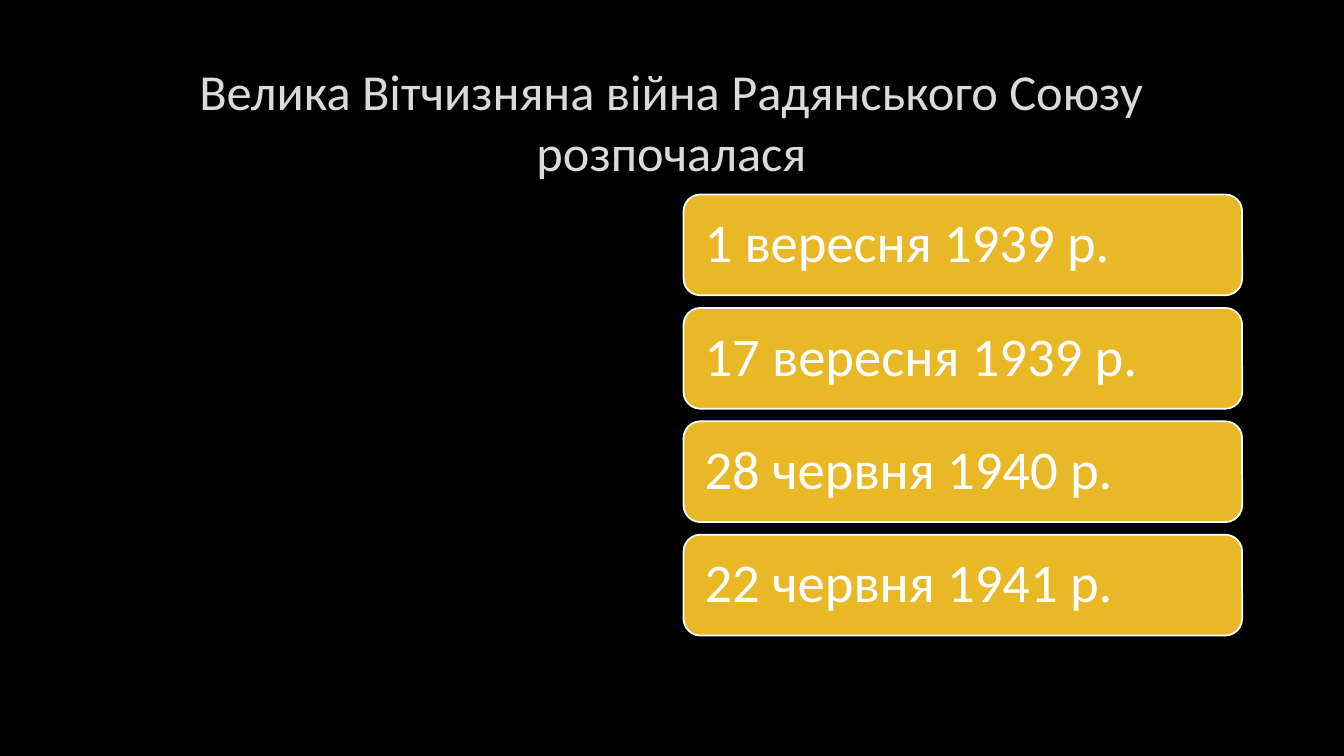
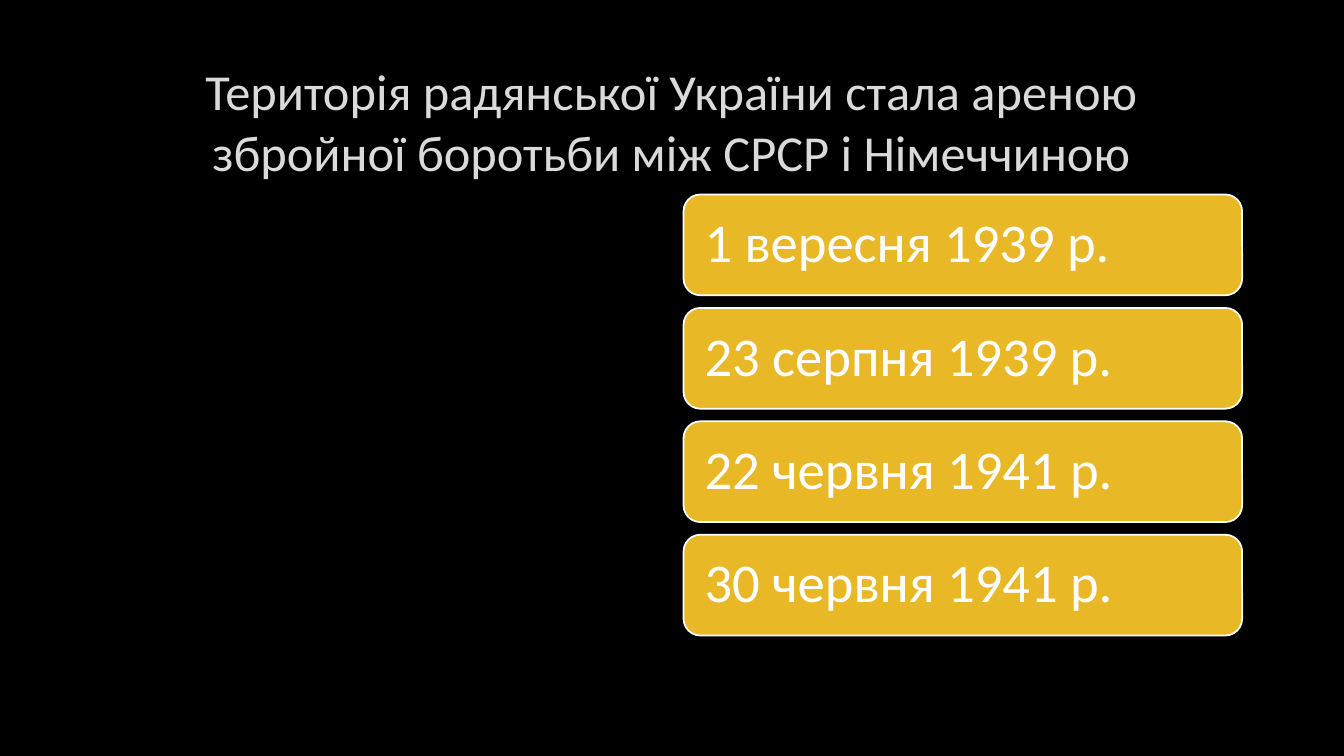
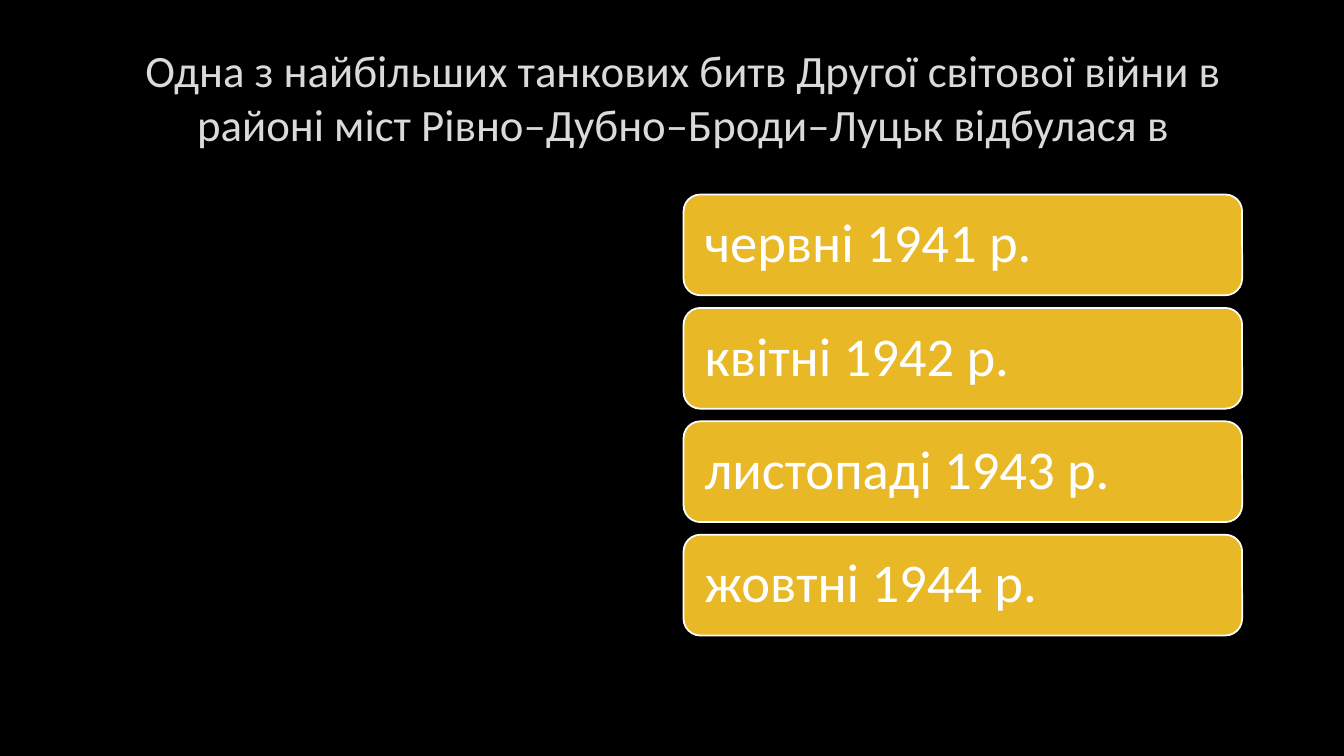
from lxml import etree
from pptx import Presentation
from pptx.dml.color import RGBColor
from pptx.enum.shapes import MSO_SHAPE
from pptx.enum.text import MSO_ANCHOR, PP_ALIGN
from pptx.oxml import parse_xml
from pptx.util import Inches, Pt

QUESTIONS = [
    {
        "title": "Велика Вітчизняна війна Радянського Союзу розпочалася",
        "place": (1, 0.67),
        "size": 36,
        "answers": ["1 вересня 1939 р.", "17 вересня 1939 р.",
                    "28 червня 1940 р.", "22 червня 1941 р."],
    },
    {
        "title": "Територія радянської України стала ареною збройної "
                 "боротьби між СРСР і Німеччиною",
        "place": (1, 0.67),
        "size": 36,
        "answers": ["1 вересня 1939 р.", "23 серпня 1939 р.",
                    "22 червня 1941 р.", "30 червня 1941 р."],
    },
    {
        "title": "Одна з найбільших танкових битв Другої світової війни "
                 "в районі міст Рівно–Дубно–Броди–Луцьк відбулася в",
        "place": (1.12, 0.43),
        "size": 32,
        "answers": ["червні 1941 р.", "квітні 1942 р.",
                    "листопаді 1943 р.", "жовтні 1944 р."],
    },
]

BLACK = RGBColor(0x00, 0x00, 0x00)
WHITE = RGBColor(0xFF, 0xFF, 0xFF)
GOLD = RGBColor(0xE8, 0xB8, 0x26)
SILVER = RGBColor(0xDA, 0xDA, 0xDA)
FONT = "Calibri"

ROUNDED = MSO_SHAPE.ROUNDED_RECTANGLE
MIDDLE = MSO_ANCHOR.MIDDLE
CENTER, LEFT = PP_ALIGN.CENTER, PP_ALIGN.LEFT

SLIDE_WIDTH, SLIDE_HEIGHT = 13.33, 7.5
BLANK_LAYOUT = 6
TITLE_WIDTH, TITLE_HEIGHT = 11.32, 1.06
ANSWER_LEFT, ANSWER_TOP = 6.78, 1.93
ANSWER_WIDTH, ANSWER_HEIGHT = 5.54, 1
ANSWER_PITCH = ANSWER_HEIGHT * 9 / 8
ANSWER_INSET = 0.16
ANSWER_SIZE = 39

TEXT_OUTLINE = (
    '<a:ln xmlns:a="http://schemas.openxmlformats.org/drawingml/2006/main" w="9525">'
    '<a:solidFill><a:srgbClr val="404040"><a:alpha val="10000"/></a:srgbClr></a:solidFill>'
    '<a:prstDash val="solid"/></a:ln>'
)


def write(shape, text, size, color, alignment):
    frame = shape.text_frame
    frame.word_wrap = True
    frame.vertical_anchor = MIDDLE
    paragraph = frame.paragraphs[0]
    paragraph.text = text
    paragraph.alignment = alignment
    paragraph.font.name = FONT
    paragraph.font.size = Pt(size)
    paragraph.font.color.rgb = color
    return paragraph


def add_title(slide, text, place, size):
    left, top = place
    shape = slide.shapes.add_textbox(
        Inches(left), Inches(top), Inches(TITLE_WIDTH), Inches(TITLE_HEIGHT))
    paragraph = write(shape, text, size, SILVER, CENTER)
    paragraph.runs[0]._r.get_or_add_rPr().insert(0, parse_xml(TEXT_OUTLINE))


def add_answer(slide, row, text):
    shape = slide.shapes.add_shape(
        ROUNDED, Inches(ANSWER_LEFT), Inches(ANSWER_TOP + row * ANSWER_PITCH),
        Inches(ANSWER_WIDTH), Inches(ANSWER_HEIGHT))
    shape.shadow.inherit = False
    shape.fill.solid()
    shape.fill.fore_color.rgb = GOLD
    shape.line.color.rgb = WHITE
    shape.line.width = Pt(1.25)
    frame = shape.text_frame
    frame.margin_left = frame.margin_right = Inches(ANSWER_INSET)
    frame.margin_top = frame.margin_bottom = Inches(ANSWER_INSET)
    write(shape, text, ANSWER_SIZE, WHITE, LEFT).line_spacing = 0.9


def main():
    presentation = Presentation()
    presentation.slide_width = Inches(SLIDE_WIDTH)
    presentation.slide_height = Inches(SLIDE_HEIGHT)
    background = presentation.slide_master.background.fill
    background.solid()
    background.fore_color.rgb = BLACK
    for question in QUESTIONS:
        slide = presentation.slides.add_slide(presentation.slide_layouts[BLANK_LAYOUT])
        add_title(slide, question["title"], question["place"], question["size"])
        for row, answer in enumerate(question["answers"]):
            add_answer(slide, row, answer)
    presentation.save("out.pptx")


if __name__ == "__main__":
    main()
